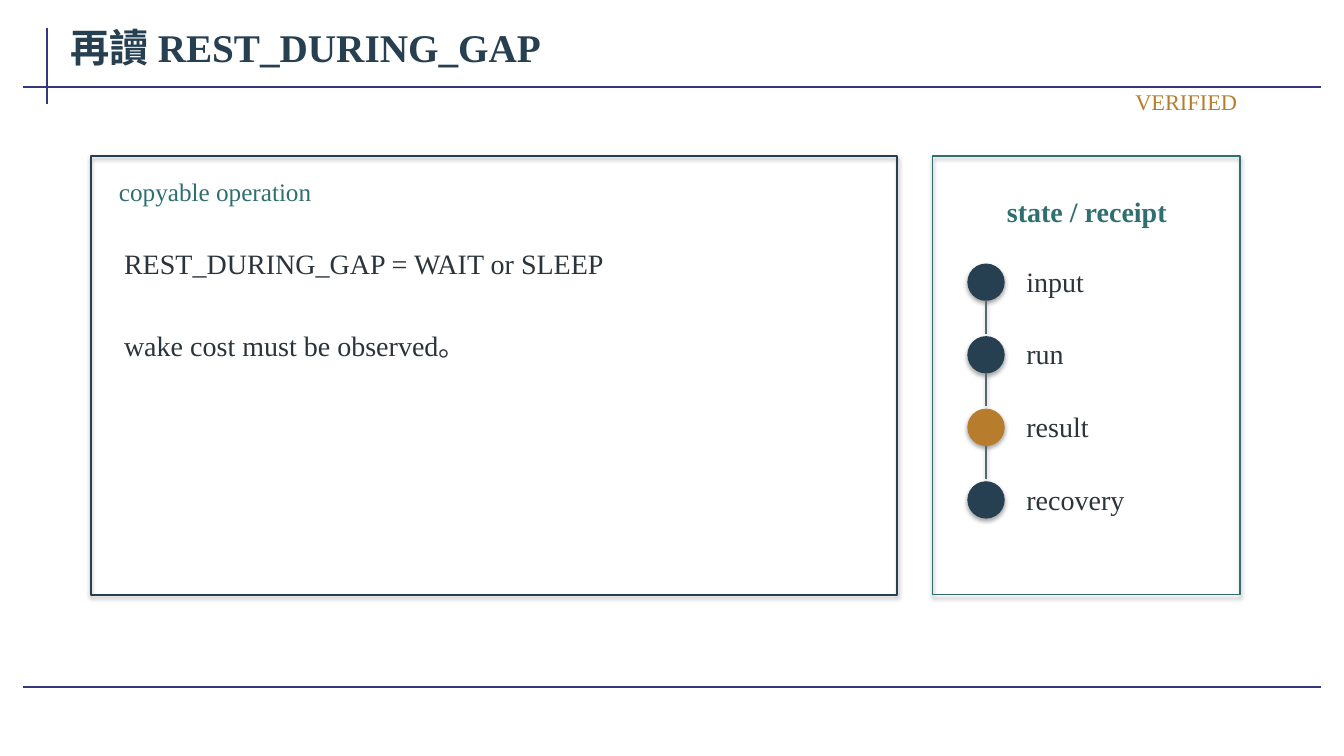
from dataclasses import dataclass

import pptx
import pptx.util
from pptx.dml.color import RGBColor
from pptx.enum.shapes import MSO_CONNECTOR, MSO_SHAPE
from pptx.enum.text import MSO_ANCHOR, PP_ALIGN
from pptx.oxml import parse_xml
from pptx.oxml.ns import nsdecls
from pptx.util import Inches, Pt


@dataclass(frozen=True)
class Theme:
    font: str = "Times New Roman"
    navy: str = "263F51"
    teal: str = "2F6F70"
    amber: str = "B77D2D"
    ink: str = "2A343A"
    link: str = "59686F"
    rule: str = "35377F"
    title: int = 28
    body: int = 20
    caption: int = 18
    status: int = 16


theme = Theme()


def set_text(sp, text, size, color, bold=False, align=PP_ALIGN.LEFT):
    tf = sp.text_frame
    tf.text = text
    tf.word_wrap = True
    tf.vertical_anchor = MSO_ANCHOR.MIDDLE
    tf.margin_left = tf.margin_right = Inches(0.08)
    tf.margin_top = tf.margin_bottom = Inches(0.04)
    p = tf.paragraphs[0]
    p.alignment = align
    p.font.name = theme.font
    p.font.size = Pt(size)
    p.font.bold = bold
    p.font.color.rgb = RGBColor.from_string(color)


def add_line(x1, y1, x2, y2, color, width):
    line = s.shapes.add_connector(
        MSO_CONNECTOR.STRAIGHT, Inches(x1), Inches(y1), Inches(x2), Inches(y2))
    line.line.color.rgb = RGBColor.from_string(color)
    line.line.width = Pt(width)
    return line


prs = pptx.Presentation()
prs.slide_width, prs.slide_height = Inches(13.33), Inches(7.5)
s = prs.slides.add_slide(prs.slide_layouts[5])

# Title and frame rules
title = s.shapes.title
title.left, title.top = Inches(0.62), Inches(0.15)
title.width, title.height = Inches(12.49), Inches(0.62)
set_text(title, "再讀 REST_DURING_GAP", theme.title, theme.navy, bold=True)

for ends in [(0.47, 0.28, 0.47, 1.03), (0.23, 0.86, 13.1, 0.86), (0.23, 6.82, 13.1, 6.82)]:
    rule = add_line(*ends, theme.rule, 1.5)
    rule._element.spPr.append(parse_xml(f"<a:effectLst {nsdecls('a')}/>"))

# Panels keep the theme's soft shadow
for left, width, color, weight in [(0.9, 8, theme.navy, 1.4), (9.25, 3.05, theme.teal, 1.1)]:
    panel = s.shapes.add_shape(
        MSO_SHAPE.RECTANGLE, Inches(left), Inches(1.55), Inches(width), Inches(4.35))
    panel.fill.background()
    panel.line.color.rgb = RGBColor.from_string(color)
    panel.line.width = Pt(weight)

# Panel text and status
texts = [
    ((1.1, 1.72, 7.6, 0.35), "copyable operation",
     theme.caption, theme.teal, False, PP_ALIGN.LEFT),
    ((1.15, 2.25, 7.35, 0.72), "REST_DURING_GAP = WAIT or SLEEP",
     theme.body, theme.ink, False, PP_ALIGN.LEFT),
    ((1.15, 3.07, 7.35, 0.72), "wake cost must be observed。",
     theme.body, theme.ink, False, PP_ALIGN.LEFT),
    ((9.48, 1.82, 2.6, 0.55), "state / receipt",
     theme.body, theme.teal, True, PP_ALIGN.CENTER),
    ((9.15, 0.86, 3.2, 0.3), "VERIFIED",
     theme.status, theme.amber, False, PP_ALIGN.RIGHT),
]
for box, *style in texts:
    set_text(s.shapes.add_textbox(*map(Inches, box)), *style)

# State chain
steps = ["input", "run", "result", "recovery"]
dot, pitch = 0.36, 0.72
for i, step in enumerate(steps):
    top = 2.62 + i * pitch
    color = RGBColor.from_string(theme.amber if step == "result" else theme.navy)
    sp = s.shapes.add_shape(
        MSO_SHAPE.OVAL, Inches(9.6), Inches(top), Inches(dot), Inches(dot))
    sp.fill.solid()
    sp.fill.fore_color.rgb = color
    sp.line.color.rgb = color
    sp.line.width = Pt(0.75)
    label = s.shapes.add_textbox(Inches(10.1), Inches(top - 0.03), Inches(1.85), Inches(0.4))
    set_text(label, step, theme.body, theme.ink)
    if i < len(steps) - 1:
        add_line(9.78, top + dot, 9.78, top + pitch - 0.03, theme.link, 0.9)

prs.save("out.pptx")
